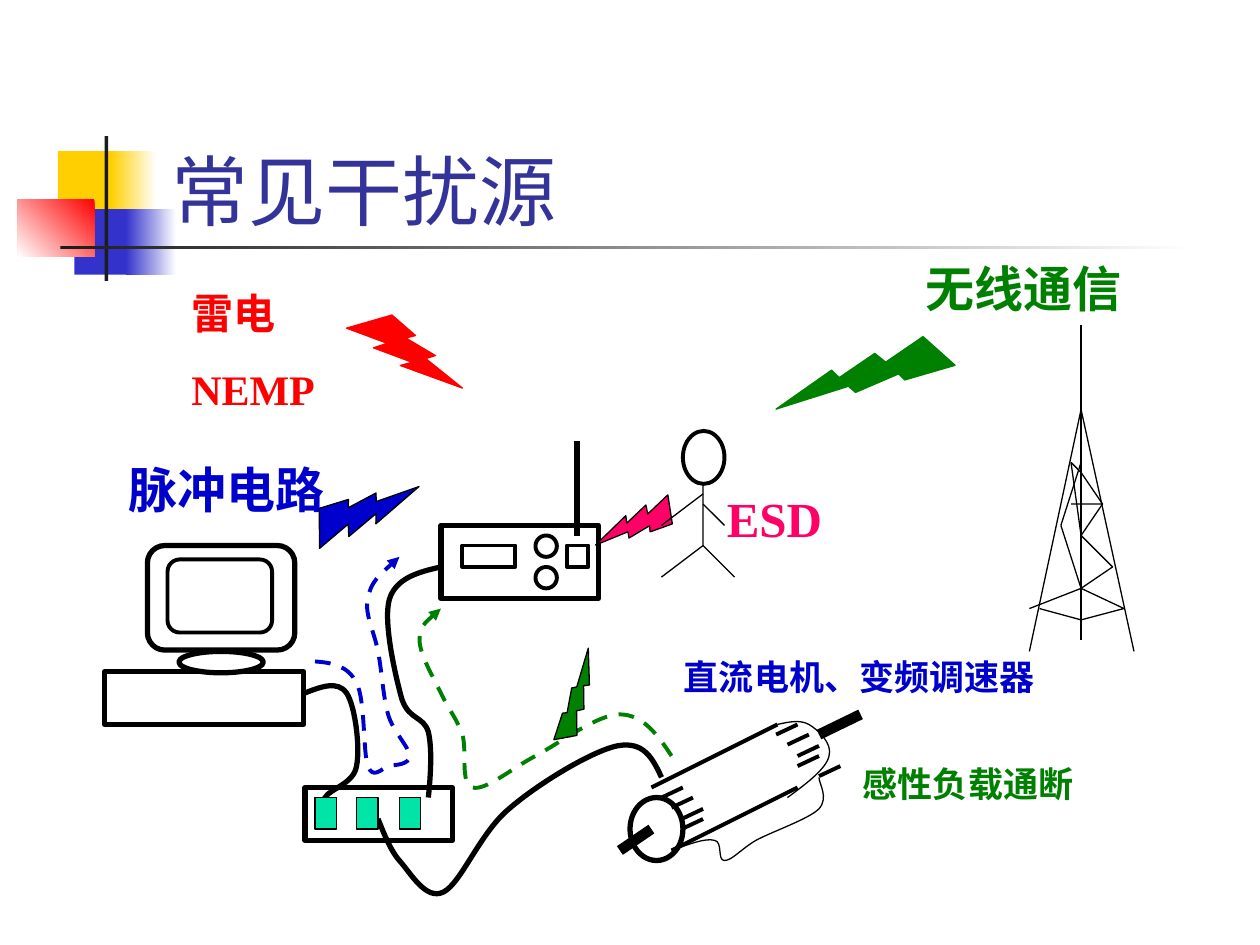
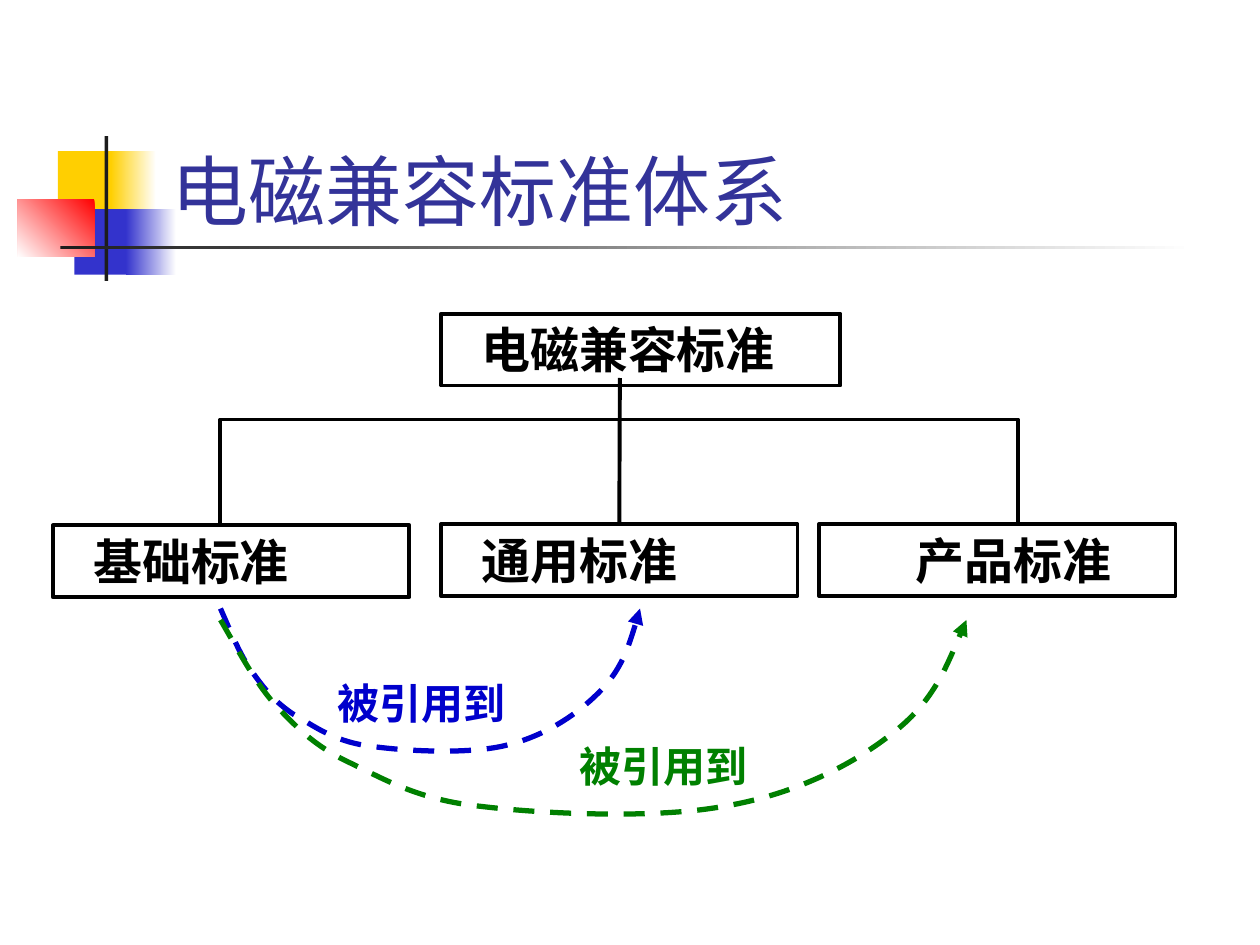
from lxml import etree
from pptx import Presentation
from pptx.dml.color import RGBColor
from pptx.enum.dml import MSO_LINE
from pptx.enum.shapes import MSO_CONNECTOR, MSO_SHAPE
from pptx.enum.text import MSO_ANCHOR, MSO_AUTO_SIZE, PP_ALIGN
from pptx.oxml.ns import qn
from pptx.util import Pt

PX = 9144
RECT, ROUND, OVAL = MSO_SHAPE.RECTANGLE, MSO_SHAPE.ROUNDED_RECTANGLE, MSO_SHAPE.OVAL
BOLT, STRAIGHT, DASH = MSO_SHAPE.LIGHTNING_BOLT, MSO_CONNECTOR.STRAIGHT, MSO_LINE.DASH
TOP, BOTTOM, LEFT = MSO_ANCHOR.TOP, MSO_ANCHOR.BOTTOM, PP_ALIGN.LEFT
GROW = MSO_AUTO_SIZE.SHAPE_TO_FIT_TEXT


class Theme:
    black = RGBColor(0x00, 0x00, 0x00)
    white = RGBColor(0xFF, 0xFF, 0xFF)
    charcoal = RGBColor(0x1C, 0x1C, 0x1C)
    title = RGBColor(0x33, 0x33, 0x99)
    gold = RGBColor(0xFF, 0xCF, 0x01)
    indigo = RGBColor(0x33, 0x33, 0xCC)
    red = RGBColor(0xFF, 0x00, 0x00)
    green = RGBColor(0x00, 0x80, 0x00)
    blue = RGBColor(0x00, 0x00, 0xCC)
    pink = RGBColor(0xFF, 0x00, 0x66)
    mint = RGBColor(0x00, 0xE4, 0xA8)
    title_font, body_font = "Lato", "Times New Roman"
    title_size, large, medium, small = Pt(44), Pt(28), Pt(24), Pt(20)
    hair, medium_line, bold_line, shaft = 0.75, 2.25, 3, 6
    frame = {"word_wrap": True, "auto_size": GROW, "vertical_anchor": TOP}


def style(shape, weight, color=Theme.black, fill=None, arrow=False):
    if hasattr(shape, "fill"):
        if fill is None:
            shape.fill.background()
        else:
            shape.fill.solid()
            shape.fill.fore_color.rgb = fill
    shape.line.color.rgb = color
    shape.line.width = Pt(weight)
    if arrow:
        shape.line.dash_style = DASH
        line = shape.element.find(".//" + qn("a:ln"))
        etree.SubElement(line, qn("a:tailEnd"), type="triangle")
    etree.SubElement(shape.element.spPr, qn("a:effectLst"))
    return shape


def trace(shapes, points, weight, color=Theme.black, curved=True, arrow=False):
    builder = shapes.build_freeform(*points[0], scale=PX)
    builder.add_line_segments(points[1:], close=False)
    outline = builder.convert_to_shape()
    if curved:
        route = outline.element.find(".//" + qn("a:path"))
        segments = route.findall(qn("a:lnTo"))
        for i in range(0, len(segments), 3):
            curve = etree.SubElement(route, qn("a:cubicBezTo"))
            for segment in segments[i:i + 3]:
                curve.append(segment[0])
                route.remove(segment)
    return style(outline, weight, color, arrow=arrow)


deck = Presentation()
deck.slide_width, deck.slide_height = 1000 * PX, 750 * PX
layout = deck.slide_layouts[5]
heading = layout.placeholders[0]
for side, length in {"left": 126, "top": 67, "width": 852, "height": 125}.items():
    setattr(heading, side, length * PX)
heading.text_frame.vertical_anchor = BOTTOM

sources, standards = [deck.slides.add_slide(layout) for _ in range(2)]
for slide, title in ((sources, "常见干扰源"), (standards, "电磁兼容标准体系")):
    slide.shapes.title.text = title
    paragraph = slide.shapes.title.text_frame.paragraphs[0]
    paragraph.alignment = LEFT
    for name, value in {"name": Theme.title_font, "size": Theme.title_size}.items():
        setattr(paragraph.font, name, value)
    paragraph.font.color.rgb = Theme.title

bands = [
    ((46, 120, 48, 52), Theme.gold, Theme.gold, None),
    ((88, 120, 36, 52), Theme.gold, Theme.white, 0),
    ((59, 166, 46, 52), Theme.indigo, Theme.indigo, None),
    ((100, 166, 40, 52), Theme.indigo, Theme.white, 0),
    ((14, 158, 61, 46), Theme.red, Theme.white, 225),
    ((83, 108, 3, 115), Theme.charcoal, Theme.charcoal, None),
    ((48, 195, 900, 3), Theme.charcoal, Theme.white, 0),
]
for i, (box, start, end, angle) in enumerate(bands):
    band = sources.shapes.add_shape(RECT, *[n * PX for n in box])
    band.shadow.inherit = False
    band.line.fill.background()
    if angle is None:
        band.fill.solid()
        band.fill.fore_color.rgb = start
    else:
        band.fill.gradient()
        band.fill.gradient_angle = angle
        for stop, color, position in zip(band.fill.gradient_stops, (start, end), (0, 1)):
            stop.color.rgb = color
            stop.position = position
    band.element.find(".//" + qn("p:cNvPr")).set("id", str(20 + i))
    layout.shapes.element.insert(2 + i, band.element)

scene = sources.shapes
tower = [
    (858, 325, 817, 517), (858, 325, 900, 517), (858, 258, 858, 508),
    (850, 367, 858, 375), (875, 400, 858, 425), (850, 367, 858, 425),
    (858, 367, 842, 417), (842, 417, 858, 467), (858, 467, 817, 483),
    (825, 483, 858, 492),
]
for strut in tower:
    style(scene.add_connector(STRAIGHT, *[n * PX for n in strut]), Theme.hair)
trace(scene, [(858, 492), (892, 483), (858, 467), (883, 450), (858, 425),
              (858, 375), (875, 400), (850, 400)], Theme.hair, curved=False)

computer = scene.add_group_shape().shapes
devices = [
    (computer, RECT, (83, 533, 158, 42), Theme.bold_line, Theme.white),
    (computer, ROUND, (117, 433, 117, 83), Theme.bold_line, Theme.white),
    (computer, ROUND, (133, 444, 83, 58), Theme.medium_line, Theme.white),
    (computer, OVAL, (142, 517, 67, 17), Theme.bold_line, Theme.white),
    (scene, OVAL, (500, 633, 42, 50), Theme.bold_line, Theme.white),
    (scene, RECT, (242, 625, 117, 42), Theme.bold_line, None),
    (scene, RECT, (350, 417, 125, 58), Theme.bold_line, None),
    (scene, RECT, (367, 433, 42, 17), Theme.medium_line, None),
    (scene, OVAL, (425, 425, 17, 17), Theme.medium_line, None),
    (scene, OVAL, (425, 450, 17, 17), Theme.medium_line, None),
    (scene, RECT, (450, 433, 17, 17), Theme.medium_line, None),
]
for owner, preset, box, weight, fill in devices:
    style(owner.add_shape(preset, *[n * PX for n in box]), weight, fill=fill)

motor_and_antenna = [
    ((517, 625, 617, 575), Theme.medium_line), ((533, 675, 633, 625), Theme.medium_line),
    ((492, 675, 517, 658), Theme.shaft), ((650, 583, 683, 567), Theme.shaft),
    ((458, 350, 458, 425), Theme.bold_line),
]
fins = [(542, 625), (550, 633), (558, 642), (558, 650), (650, 600),
        (650, 592), (642, 583), (633, 575), (667, 608)]
motor_and_antenna += [((x, y, x - 17, y + 8), Theme.medium_line) for x, y in fins]
for ends, weight in motor_and_antenna:
    style(scene.add_connector(STRAIGHT, *[n * PX for n in ends]), weight)

motor_casing = [
    [(617, 575), (626, 573), (635, 571), (642, 575), (649, 579), (661, 590),
     (658, 600), (656, 610), (640, 622), (625, 633)],
    [(533, 675), (547, 670), (560, 665), (567, 667), (574, 668), (569, 683),
     (575, 683), (581, 683), (588, 674), (600, 667), (613, 660), (642, 650),
     (650, 642), (658, 633), (650, 622), (650, 617)],
]
cables = [
    [(242, 550), (255, 545), (268, 540), (275, 550), (282, 560), (286, 594),
     (283, 608), (281, 622), (262, 626), (258, 633), (254, 640), (256, 645), (258, 650)],
    [(525, 617), (518, 602), (511, 588), (490, 592), (470, 596), (427, 622),
     (404, 642), (381, 661), (366, 701), (352, 708), (338, 715), (326, 693),
     (317, 683), (309, 674), (303, 657), (300, 650)],
    [(350, 450), (332, 454), (314, 459), (309, 476), (304, 494), (314, 537),
     (319, 555), (325, 572), (336, 568), (340, 581), (343, 594), (342, 614), (340, 633)],
]
for routes, weight in ((motor_casing, Theme.hair), (cables, Theme.bold_line)):
    for route in routes:
        trace(scene, route, weight)

for x in (250, 283, 317):
    socket = scene.add_shape(RECT, x * PX, 633 * PX, 17 * PX, 25 * PX)
    style(socket, Theme.hair, fill=Theme.mint)

motor_noise = [
    (533, 600), (522, 583), (510, 567), (492, 567), (474, 567), (444, 590),
    (425, 600), (406, 610), (385, 628), (375, 625), (365, 622), (371, 596),
    (367, 583), (363, 571), (356, 563), (350, 550), (344, 538), (333, 519),
    (333, 508), (333, 497), (342, 490), (350, 483),
]
pulse_noise = [
    (250, 525), (263, 526), (276, 528), (283, 542), (290, 556), (288, 597),
    (292, 608), (296, 619), (303, 610), (308, 608), (314, 607), (325, 607),
    (325, 600), (325, 593), (312, 581), (308, 567), (304, 553), (303, 532),
    (300, 517), (297, 501), (289, 487), (292, 475), (294, 462), (306, 452), (317, 442),
]
for route, color in ((motor_noise, Theme.green), (pulse_noise, Theme.blue)):
    trace(scene, route, Theme.medium_line, color, arrow=True)

bolts = [
    ((658, 225, 58, 142), 90.2, Theme.green, Theme.green),
    ((275, 250, 92, 58), 0, Theme.red, Theme.red),
    ((479, 387, 54, 54), 105.9, Theme.pink, Theme.black),
    ((250, 375, 75, 67), 291.9, Theme.blue, Theme.black),
    ((442, 517, 33, 75), 215.6, Theme.green, Theme.black),
]
for box, rotation, fill, edge in bolts:
    bolt = style(scene.add_shape(BOLT, *[n * PX for n in box]), Theme.hair, edge, fill)
    bolt.rotation = rotation

person = scene.add_group_shape().shapes
head = person.add_shape(OVAL, 542 * PX, 342 * PX, 33 * PX, 42 * PX)
style(head, Theme.medium_line)
trace(person, [(558, 383), (558, 433), (525, 458)], Theme.hair, curved=False)
for limb in ((558, 433, 583, 458), (558, 392, 525, 417), (558, 400, 575, 417)):
    style(person.add_connector(STRAIGHT, *[n * PX for n in limb]), Theme.hair)

chart = standards.shapes
categories = {}
for name, box, inset in (
    ("基础标准", (42, 417, 283, 57), 32),
    ("电磁兼容标准", (350, 249, 317, 57), 32),
    ("通用标准", (350, 416, 283, 57), 32),
    ("产品标准", (650, 416, 283, 57), 77),
):
    category = style(chart.add_shape(RECT, *[n * PX for n in box]), Theme.medium_line)
    category.text_frame.margin_left = inset * PX
    category.text_frame.text = name
    categories[name] = category

trace(chart, [(175, 417), (175, 333), (808, 333), (808, 417)],
      Theme.medium_line, curved=False)
trunk = chart.add_connector(STRAIGHT, 492 * PX, 300 * PX, 492 * PX, 416 * PX)
trunk.end_connect(categories["通用标准"], 0)
style(trunk, Theme.medium_line)

to_general = [
    (175, 483), (183, 501), (190, 519), (200, 533), (210, 547), (218, 557),
    (233, 567), (249, 576), (264, 588), (292, 592), (319, 596), (369, 599),
    (400, 592), (431, 585), (457, 568), (475, 550), (493, 532), (501, 508), (508, 483),
]
to_product = [
    (175, 492), (189, 516), (202, 541), (219, 560), (237, 579), (251, 593),
    (279, 606), (306, 619), (333, 635), (382, 640), (431, 646), (520, 650),
    (574, 640), (629, 631), (675, 608), (707, 583), (740, 558), (753, 525), (767, 492),
]
for route, color in ((to_general, Theme.blue), (to_product, Theme.green)):
    trace(chart, route, Theme.bold_line, color, arrow=True)

labels = [
    (scene, (142, 223, 150, 111), "雷电\nNEMP", Theme.medium, Theme.red),
    (scene, (92, 360, 183, 57), "脉冲电路", Theme.large, Theme.blue),
    (scene, (567, 383, 108, 57), "ESD", Theme.large, Theme.pink),
    (scene, (725, 200, 192, 57), "无线通信", Theme.large, Theme.green),
    (scene, (675, 600, 208, 44), "感性负载通断", Theme.small, Theme.green),
    (scene, (533, 515, 317, 44), "直流电机、变频调速器", Theme.small, Theme.blue),
    (chart, (258, 533, 208, 50), "被引用到", Theme.medium, Theme.blue),
    (chart, (450, 583, 208, 50), "被引用到", Theme.medium, Theme.green),
]
texts = [(category.text_frame, Theme.large, Theme.black) for category in categories.values()]
for owner, box, words, size, color in labels:
    label = owner.add_textbox(*[n * PX for n in box])
    label.text_frame.text = words
    texts.append((label.text_frame, size, color))

for frame, size, color in texts:
    for name, value in Theme.frame.items():
        setattr(frame, name, value)
    for i, paragraph in enumerate(frame.paragraphs):
        paragraph.alignment = LEFT
        if i:
            paragraph.space_before = Pt(15)
        for name, value in {"name": Theme.body_font, "size": size, "bold": True}.items():
            setattr(paragraph.font, name, value)
        paragraph.font.color.rgb = color

deck.save("out.pptx")
